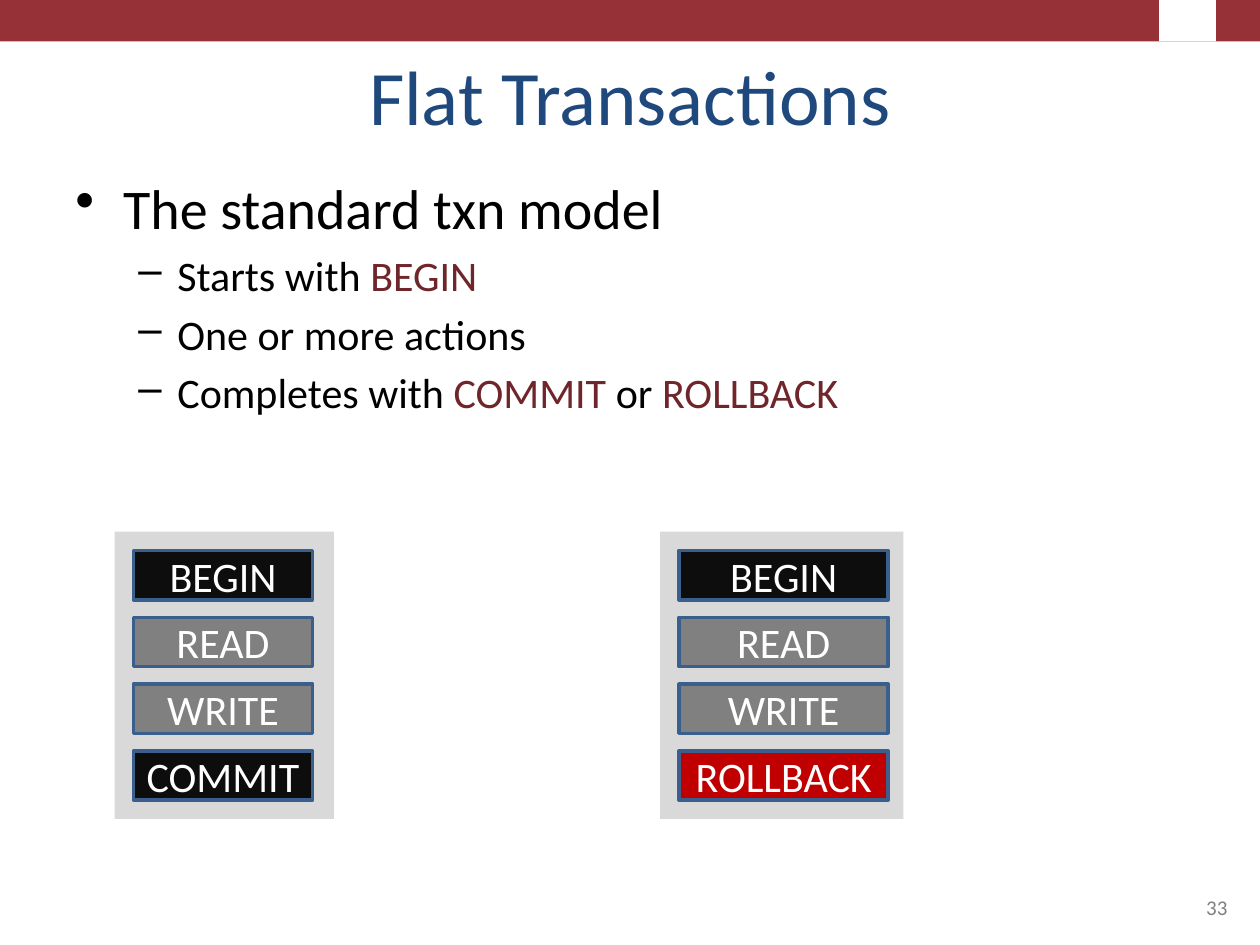
"""Build the Flat Transactions slide."""
import pptx
import pptx.util
from pptx.dml.color import RGBColor
from pptx.enum.shapes import MSO_SHAPE
from pptx.enum.text import MSO_ANCHOR, PP_ALIGN
from pptx.oxml.ns import qn
from pptx.util import Inches, Pt

FONT = "Calibri"
BLACK, GRAY, RED, WHITE = "0D0D0D", "808080", "C00000", "FFFFFF"
BAR, ACCENT, PANEL, OUTLINE = "963237", "6F2529", "D9D9D9", "3A5F8C"

BULLETS = [
    (0, [("The standard txn model", "000000")]),
    (1, [("Starts with ", "000000"), ("BEGIN", ACCENT)]),
    (1, [("One or more actions", "000000")]),
    (1, [("Completes with ", "000000"), ("COMMIT", ACCENT),
         (" or ", "000000"), ("ROLLBACK", ACCENT)]),
]
LEVELS = [("•", 32, 0.38, -0.38), ("–", 24, 0.81, -0.31)]
STEPS = [("BEGIN", BLACK), ("READ", GRAY), ("WRITE", GRAY)]
TRANSACTIONS = [
    (0.91, 1.74, 1.42, STEPS + [("COMMIT", BLACK)]),
    (5.24, 1.93, 1.66, STEPS + [("ROLLBACK", RED)]),
]
PANEL_TOP, PANEL_HEIGHT = 4.22, 2.28
STEP_INSET, STEP_HEIGHT, STEP_PITCH = 0.15, 0.39, 0.53


def rgb(color):
    return RGBColor.from_string(color)


def style(font, size, color):
    font.name, font.size, font.color.rgb = FONT, Pt(size), rgb(color)


def add_rect(s, x, y, w, h, fill, line=None):
    sp = s.shapes.add_shape(MSO_SHAPE.RECTANGLE, Inches(x), Inches(y), Inches(w), Inches(h))
    sp.shadow.inherit = False
    sp.fill.solid()
    sp.fill.fore_color.rgb = rgb(fill)
    if line:
        sp.line.color.rgb = rgb(line)
        sp.line.width = Pt(2)
    else:
        sp.line.fill.background()
    return sp


def add_box(s, x, y, w, h, anchor=MSO_ANCHOR.TOP):
    tf = s.shapes.add_textbox(Inches(x), Inches(y), Inches(w), Inches(h)).text_frame
    tf.word_wrap = True
    tf.vertical_anchor = anchor
    return tf


def write(tf, text, size, color, align):
    tf.text = text
    p = tf.paragraphs[0]
    p.alignment = align
    style(p.runs[0].font, size, color)


def add_bullets(tf):
    for i, (level, runs) in enumerate(BULLETS):
        p = tf.add_paragraph() if i else tf.paragraphs[0]
        mark, size, margin, indent = LEVELS[level]
        p.level = level
        if i:
            p.space_before = Pt(0.2 * size)
        pPr = p._p.get_or_add_pPr()
        pPr.set("marL", str(Inches(margin)))
        pPr.set("indent", str(Inches(indent)))
        bullet = pPr.makeelement(qn("a:buChar"), {"char": mark})
        pPr.append(bullet)
        for text, color in runs:
            r = p.add_run()
            r.text = text
            style(r.font, size, color)


def add_transaction(s, left, width, step_width, steps):
    add_rect(s, left, PANEL_TOP, width, PANEL_HEIGHT, PANEL)
    for i, (text, fill) in enumerate(steps):
        top = PANEL_TOP + STEP_INSET + i * STEP_PITCH
        sp = add_rect(s, left + STEP_INSET, top, step_width, STEP_HEIGHT, fill, OUTLINE)
        tf = sp.text_frame
        tf.vertical_anchor = MSO_ANCHOR.MIDDLE
        tf.margin_left = tf.margin_right = Inches(0.05)
        write(tf, text, 24, WHITE, PP_ALIGN.CENTER)


def main():
    prs = pptx.Presentation()
    prs.slide_width, prs.slide_height = Inches(10), Inches(7.5)
    s = prs.slides.add_slide(prs.slide_layouts[6])
    add_rect(s, 0, 0, 10, 0.33, BAR)
    add_rect(s, 9.2, 0, 0.45, 0.33, WHITE)
    title = add_box(s, 0.5, 0.3, 9, 0.87, MSO_ANCHOR.BOTTOM)
    write(title, "Flat Transactions", 44, "1F497D", PP_ALIGN.CENTER)
    add_bullets(add_box(s, 0.5, 1.33, 9, 2.02))
    number = add_box(s, 7.17, 6.83, 2.67, 0.52, MSO_ANCHOR.BOTTOM)
    write(number, "33", 12, GRAY, PP_ALIGN.RIGHT)
    for transaction in TRANSACTIONS:
        add_transaction(s, *transaction)
    prs.save("out.pptx")


if __name__ == "__main__":
    main()
